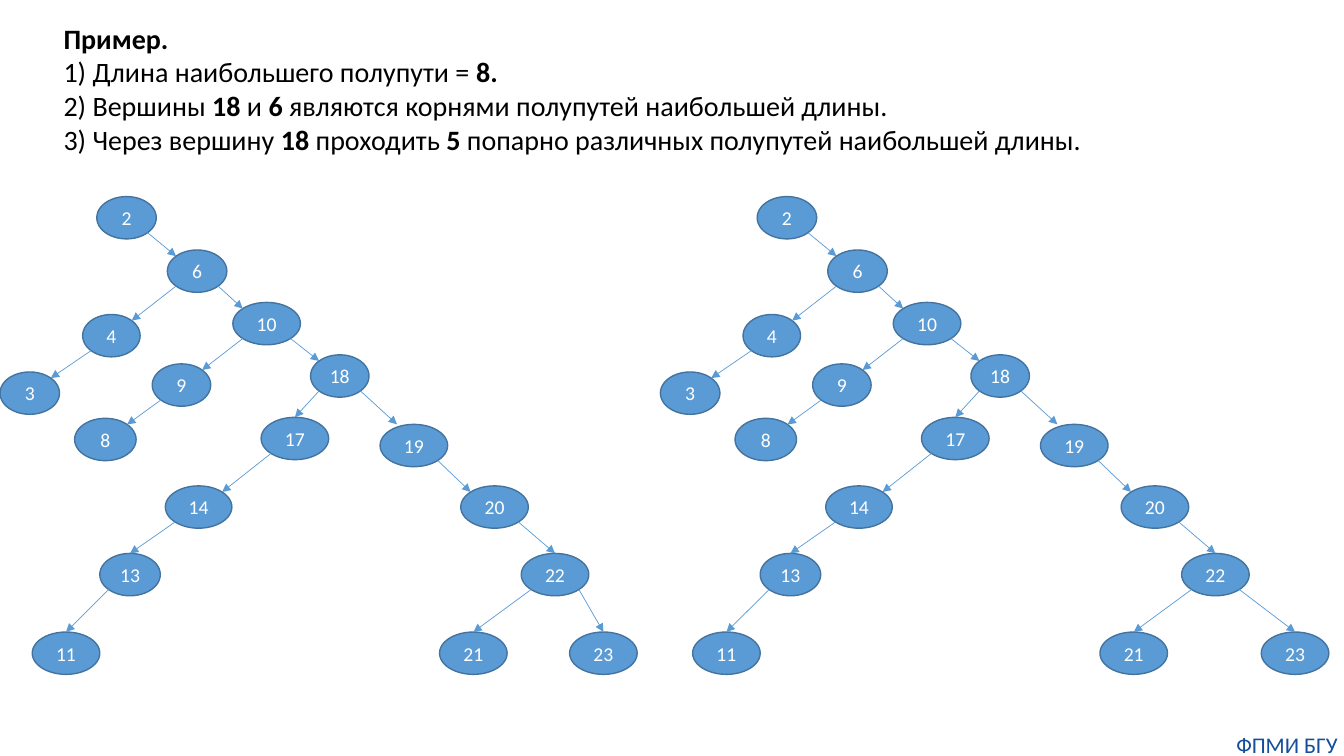
from pptx import Presentation
from pptx import util as u
from pptx.dml.color import RGBColor
from pptx.enum import shapes, text
from pptx.oxml.ns import qn
from lxml import etree

PX = 9144  # EMU in one px, 100 px to the inch
NODE_H = 42
DIAGONAL = 0.3536  # offset of an ellipse's 45° point, as a share of its side
FONT = "Calibri"

# vertex: (left, top, width, parent, where the arrow from the parent lands)
TREE = {
    "10": (231, 105, 67, "6", "corner"),
    "18": (308, 157, 58, "10", "corner"),
    "23": (565, 432, 67, "22", "top"),
    "21": (436, 432, 67, "22", "top"),
    "22": (517, 354, 67, "20", "top"),
    "20": (457, 287, 67, "19", "corner"),
    "19": (377, 226, 67, "18", "quarter"),
    "11": (32, 432, 67, "13", "top"),
    "13": (99, 354, 60, "14", "top"),
    "14": (164, 287, 66, "17", "corner"),
    "17": (259, 219, 67, "18", "top"),
    "3": (0, 174, 59, "4", "corner"),
    "4": (82, 117, 57, "6", "corner"),
    "6": (166, 53, 59, "2", "corner"),
    "8": (74, 220, 61, "9", "corner"),
    "9": (151, 166, 58, "10", "corner"),
    "2": (96, 0, 59, None, None),
}

# ** switches bold on and off
EXAMPLE = [
    "**Пример.**",
    "1) Длина наибольшего полупути = **8.**",
    "2) Вершины **18** и **6** являются корнями полупутей наибольшей длины.",
    "3) Через вершину **18** проходить **5** попарно различных полупутей "
    "наибольшей длины.",
]


def px(n):
    return u.Emu(round(n * PX))


def color(value):
    return RGBColor.from_string(value)


def add_run(p, words, size, fill, bold=False):
    r = p.add_run()
    r.text = words
    r.font.name = FONT
    r.font.size = u.Pt(size)
    r.font.bold = bold
    r.font.color.rgb = color(fill)


def add_example(s, x, y, w, h):
    sp = s.shapes.title
    sp.left, sp.top, sp.width, sp.height = map(px, (x, y, w, h))
    tf = sp.text_frame
    tf.word_wrap = True
    tf.auto_size = text.MSO_AUTO_SIZE.NONE
    tf.vertical_anchor = text.MSO_ANCHOR.TOP
    for i, line in enumerate(EXAMPLE):
        p = tf.add_paragraph() if i else tf.paragraphs[0]
        p.alignment = text.PP_ALIGN.LEFT
        for j, part in enumerate(line.split("**")):
            if part:
                add_run(p, part, 20, "000000", bold=j % 2 == 1)


def add_vertex(s, label, x, y, w):
    sp = s.shapes.add_shape(shapes.MSO_SHAPE.OVAL, *map(px, (x, y, w, NODE_H)))
    sp.shadow.inherit = False
    sp.fill.solid()
    sp.fill.fore_color.rgb = color("5B9BD5")
    sp.line.color.rgb = color("43739E")
    sp.line.width = u.Pt(1)
    tf = sp.text_frame
    tf.word_wrap = False
    tf.vertical_anchor = text.MSO_ANCHOR.MIDDLE
    p = tf.paragraphs[0]
    p.alignment = text.PP_ALIGN.CENTER
    add_run(p, label, 14, "FFFFFF")


def add_arrow(s, start, end):
    line = s.shapes.add_connector(shapes.MSO_CONNECTOR.STRAIGHT,
                                  *map(px, start + end))
    line.line.color.rgb = color("5B9BD5")
    line.line.width = u.Pt(0.5)
    ln = line.line._get_or_add_ln()
    etree.SubElement(ln, qn("a:tailEnd"), type="triangle")
    etree.SubElement(ln.getparent(), qn("a:effectLst"))


def point(box, across, down):
    """Point of a vertex, as shares of its sides measured from its centre."""
    x, y, w = box
    return x + w * (0.5 + across), y + NODE_H * (0.5 + down)


def add_tree(s, x, y, moved=None):
    """Draw the tree at x, y; moved gives other left edges for some vertices."""
    moved = moved or {}
    boxes = {label: (x + moved.get(label, left), y + top, w)
             for label, (left, top, w, _, _) in TREE.items()}
    for label, box in boxes.items():
        add_vertex(s, label, *box)
    for label, (_, _, _, parent, landing) in TREE.items():
        if parent is None:
            continue
        side = 1 if boxes[label][0] > boxes[parent][0] else -1
        across, down = {"corner": (DIAGONAL, -DIAGONAL),
                        "quarter": (0.25, -0.5),
                        "top": (0, -0.5)}[landing]
        add_arrow(s, point(boxes[parent], side * DIAGONAL, DIAGONAL),
                  point(boxes[label], -side * across, down))


def add_footer(s, x, y, w, h):
    tf = s.shapes.add_textbox(*map(px, (x, y, w, h))).text_frame
    tf.margin_left = tf.margin_right = tf.margin_top = tf.margin_bottom = 0
    tf.word_wrap = True
    p = tf.paragraphs[0]
    p.alignment = text.PP_ALIGN.CENTER
    add_run(p, "ФПМИ БГУ", 16, "144E9D")


def main():
    prs = Presentation()
    prs.slide_width, prs.slide_height = px(1333), px(750)
    s = prs.slides.add_slide(prs.slide_layouts[5])
    add_tree(s, 0, 195)
    add_tree(s, 655, 195, moved={"23": 596})
    add_example(s, 53, 16, 1043, 145)
    add_footer(s, 1220, 725, 113, 27)
    prs.save("out.pptx")


if __name__ == "__main__":
    main()
